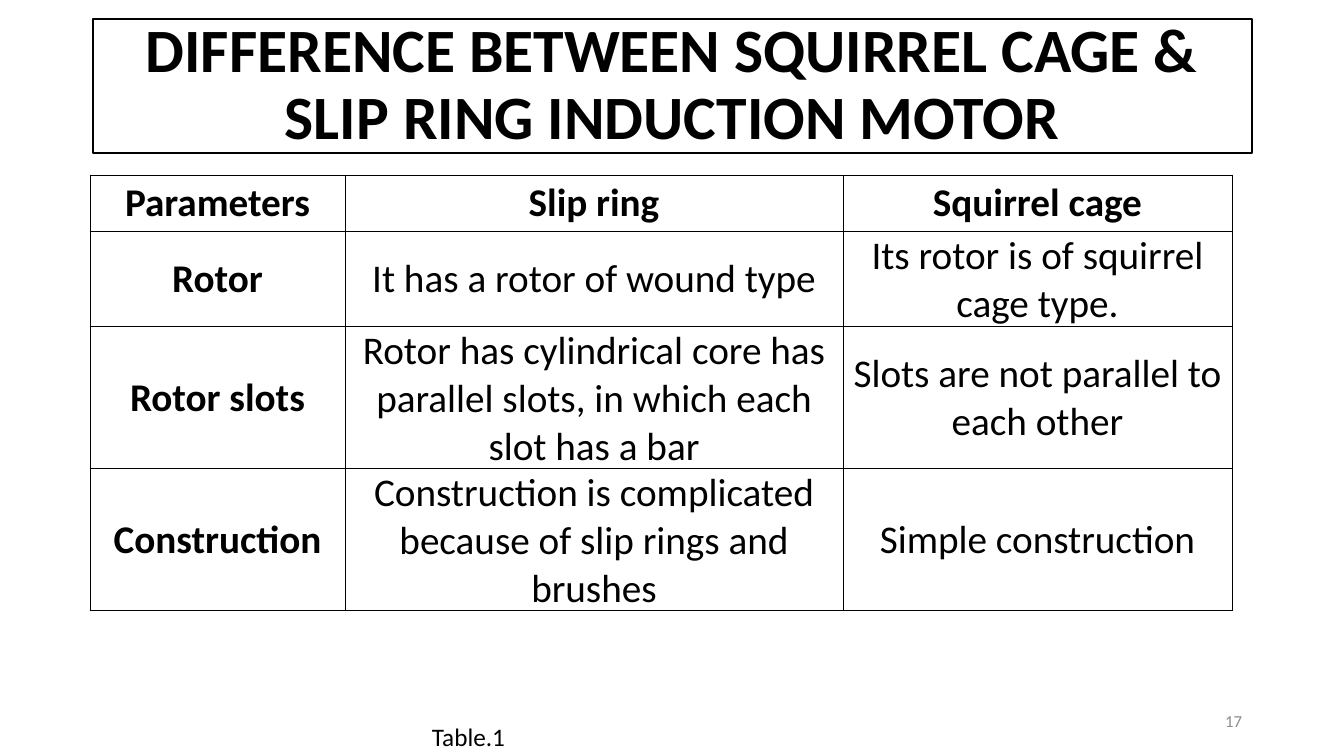
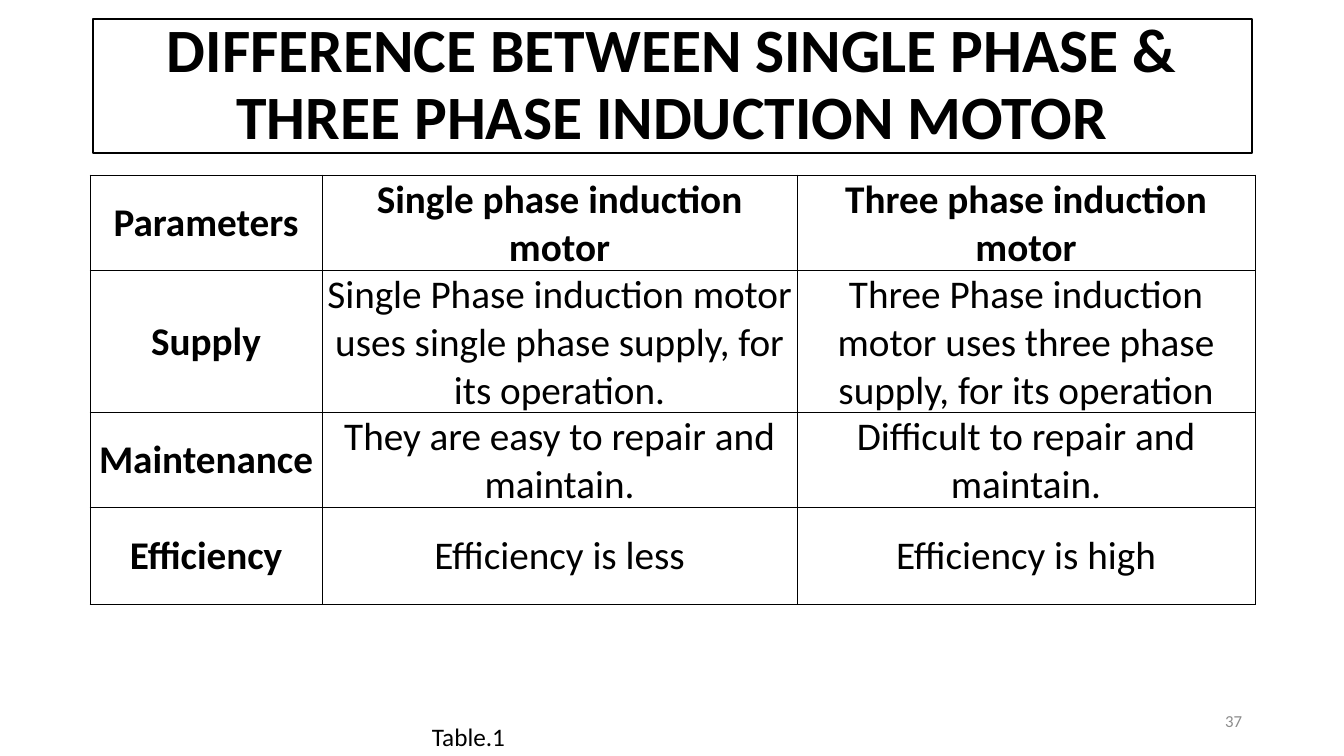
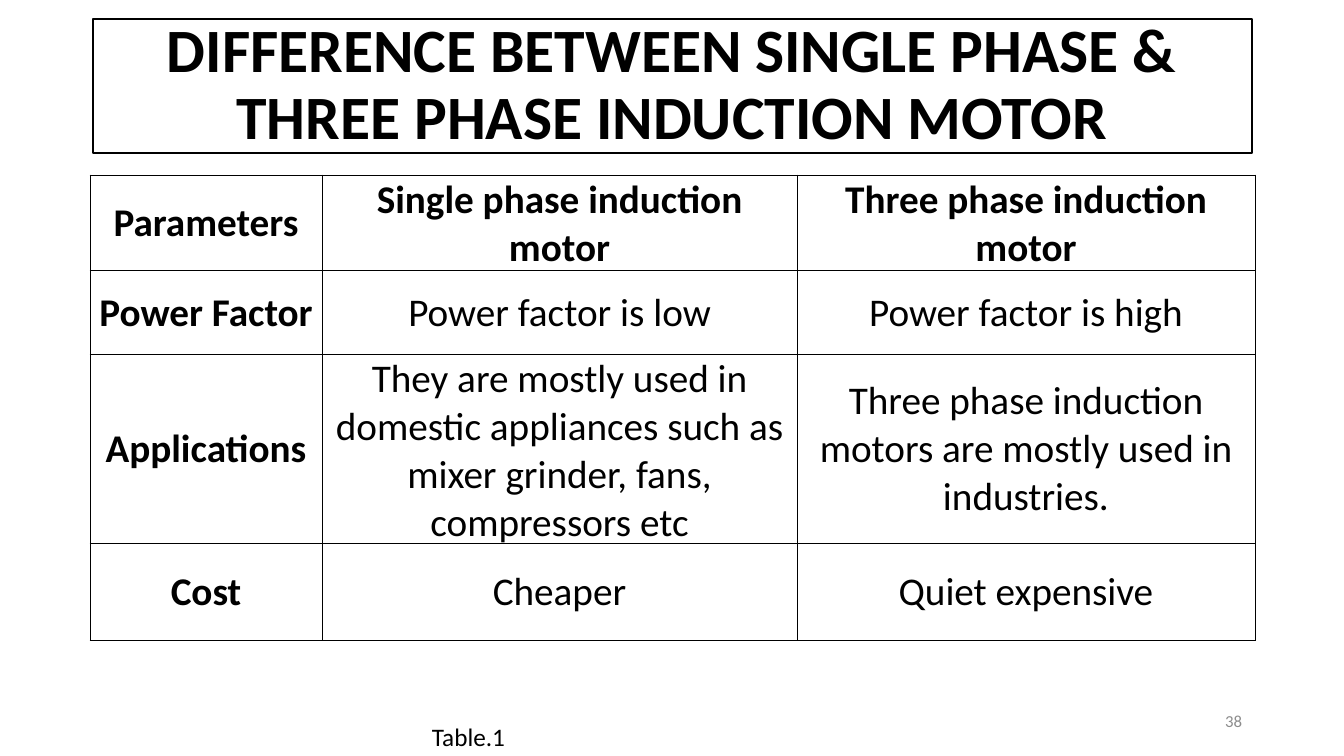
from lxml.etree import SubElement
from pptx import Presentation
from pptx.dml.color import RGBColor
from pptx.enum.shapes import MSO_SHAPE
from pptx.enum.text import MSO_ANCHOR, MSO_AUTO_SIZE, PP_ALIGN
from pptx.oxml.ns import qn
from pptx.util import Emu, Pt

BLACK = RGBColor(0x00, 0x00, 0x00)
WHITE = RGBColor(0xFF, 0xFF, 0xFF)
GREY = RGBColor(0x8C, 0x8C, 0x8C)
FONT = "Calibri"

PAGE = (1344, 756)
TITLE_BOX = (93, 19, 1159, 134)
TABLE_AT = (90, 175)
LABEL_BOX = (422, 716, 94, 40)
NUMBER_BOX = (950, 701, 302, 40)
ROWS = (56, 84, 90, 97)
RING_COLS = (255, 498, 389)
PHASE_COLS = (232, 475, 458)

PHASE_TITLE = "DIFFERENCE BETWEEN SINGLE PHASE & THREE PHASE INDUCTION MOTOR"
PHASE_HEAD = ("Parameters", "Single phase induction motor", "Three phase induction motor")

SLIDES = (
    (17, "DIFFERENCE BETWEEN SQUIRREL CAGE & SLIP RING INDUCTION MOTOR", RING_COLS, (
        ("Parameters", "Slip ring", "Squirrel cage"),
        ("Rotor", "It has a rotor of wound type", "Its rotor is of squirrel cage type."),
        ("Rotor slots",
         "Rotor has cylindrical core has parallel slots, in which each slot has a bar",
         "Slots are not parallel to each other"),
        ("Construction", "Construction is complicated because of slip rings and brushes",
         "Simple construction"),
    )),
    (37, PHASE_TITLE, PHASE_COLS, (
        PHASE_HEAD,
        ("Supply", "Single Phase induction motor uses single phase supply, for its operation.",
         "Three Phase induction motor uses three phase supply, for its operation"),
        ("Maintenance", "They are easy to repair and maintain.",
         "Difficult to repair and maintain."),
        ("Efficiency", "Efficiency is less", "Efficiency is high"),
    )),
    (38, PHASE_TITLE, PHASE_COLS, (
        PHASE_HEAD,
        ("Power Factor", "Power factor is low", "Power factor is high"),
        ("Applications",
         "They are mostly used in domestic appliances such as mixer grinder, fans, compressors etc",
         "Three phase induction motors are mostly used in industries."),
        ("Cost", "Cheaper", "Quiet expensive"),
    )),
)


def px(n):
    return Emu(round(n * 914400 / 100.8))


def write(frame, text, size, align=PP_ALIGN.CENTER, color=BLACK, bold=False):
    """Set the text of a frame and style its one paragraph."""
    frame.text = text
    para = frame.paragraphs[0]
    para.alignment = align
    font = para.font
    font.name, font.size, font.bold = FONT, Pt(size), bold
    font.color.rgb = color
    return para


def add_title(slide, box, text):
    rect = slide.shapes.add_shape(MSO_SHAPE.RECTANGLE, *map(px, box))
    rect.shadow.inherit = False
    rect.fill.solid()
    rect.fill.fore_color.rgb = WHITE
    rect.line.color.rgb = BLACK
    rect.line.width = Pt(1)
    rect.text_frame.word_wrap = True
    rect.text_frame.vertical_anchor = MSO_ANCHOR.MIDDLE
    write(rect.text_frame, text, 44, bold=True).line_spacing = 0.9


def add_borders(cell):
    props = cell._tc.get_or_add_tcPr()
    for side in ("a:lnL", "a:lnR", "a:lnT", "a:lnB"):
        line = SubElement(props, qn(side), w=str(Pt(0.5)))
        fill = SubElement(line, qn("a:solidFill"))
        SubElement(fill, qn("a:srgbClr"), val=str(BLACK))


def add_grid(slide, at, cols, cells):
    size = sum(cols), sum(ROWS)
    table = slide.shapes.add_table(len(ROWS), len(cols), *map(px, at + size)).table
    table.first_row = table.horz_banding = False
    for col, width in zip(table.columns, cols):
        col.width = px(width)
    for r, (height, texts) in enumerate(zip(ROWS, cells)):
        table.rows[r].height = px(height)
        for c, text in enumerate(texts):
            cell = table.cell(r, c)
            cell.margin_left = cell.margin_right = cell.margin_top = px(1)
            cell.margin_bottom = 0
            cell.vertical_anchor = MSO_ANCHOR.MIDDLE
            add_borders(cell)
            cell.fill.solid()
            cell.fill.fore_color.rgb = WHITE
            write(cell.text_frame, text, 28, bold=r == 0 or c == 0)


def add_label(slide, box, text):
    frame = slide.shapes.add_textbox(*map(px, box)).text_frame
    frame.word_wrap = False
    frame.auto_size = MSO_AUTO_SIZE.SHAPE_TO_FIT_TEXT
    write(frame, text, 18, PP_ALIGN.LEFT)


def add_number(slide, box, number):
    frame = slide.shapes.add_textbox(*map(px, box)).text_frame
    frame.word_wrap = True
    frame.vertical_anchor = MSO_ANCHOR.MIDDLE
    write(frame, str(number), 12, PP_ALIGN.RIGHT, GREY)


def main():
    deck = Presentation()
    deck.slide_width, deck.slide_height = map(px, PAGE)
    for number, title, cols, cells in SLIDES:
        slide = deck.slides.add_slide(deck.slide_layouts[6])
        add_number(slide, NUMBER_BOX, number)
        add_title(slide, TITLE_BOX, title)
        add_grid(slide, TABLE_AT, cols, cells)
        add_label(slide, LABEL_BOX, "Table.1")
    deck.save("out.pptx")


if __name__ == "__main__":
    main()
